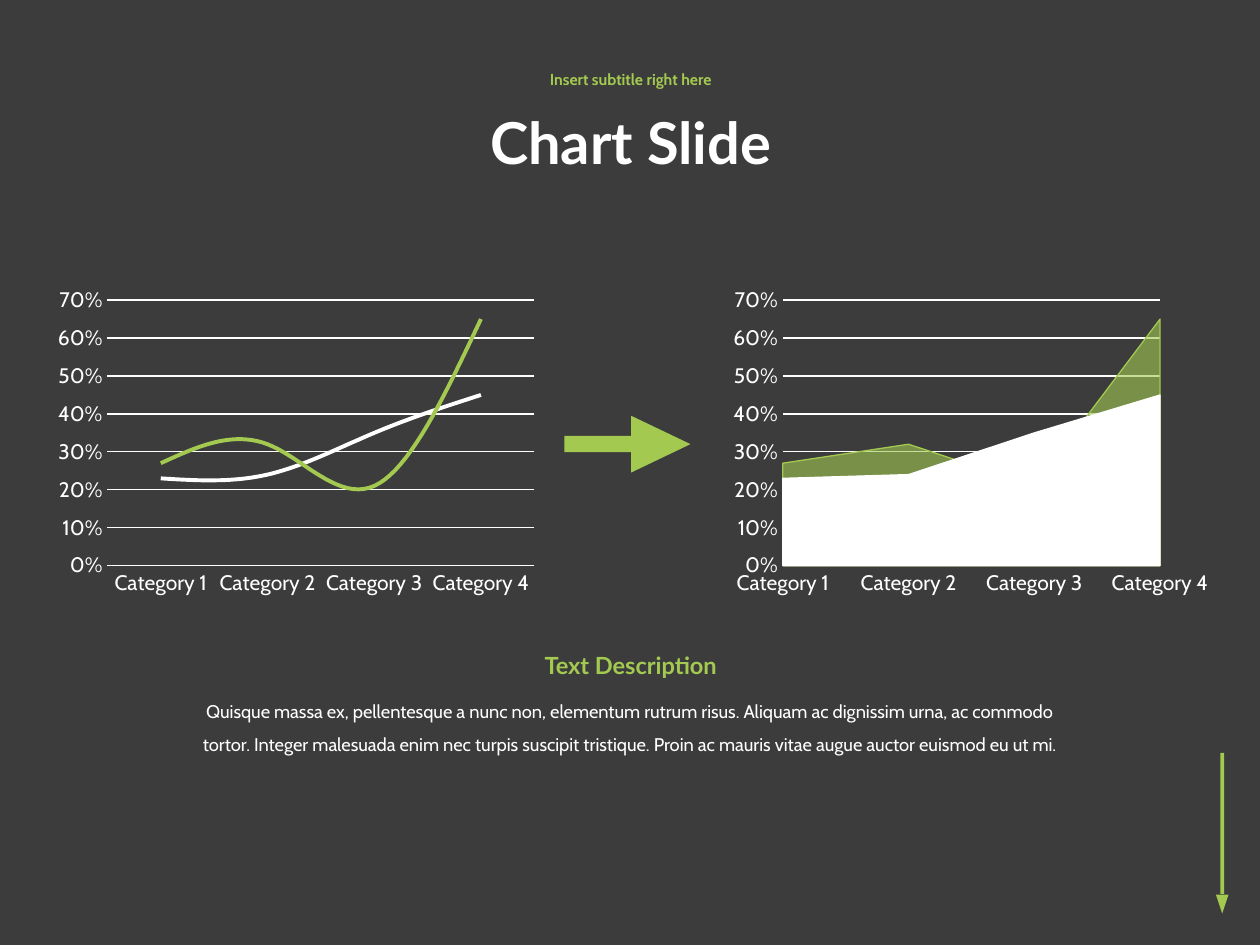
import pptx
import pptx.chart.data
import pptx.dml.color
import pptx.enum.chart
import pptx.enum.shapes
import pptx.enum.text
import pptx.util
from lxml import etree
from pptx.oxml.ns import qn

Inches, Pt = pptx.util.Inches, pptx.util.Pt
CHART = pptx.enum.chart
SHAPE = pptx.enum.shapes.MSO_SHAPE
ANCHOR = pptx.enum.text.MSO_ANCHOR

# Content
COLORS = {"background": "3C3C3C", "accent": "A3C951", "light": "FFFFFF"}
CATEGORIES = ["Category 1", "Category 2", "Category 3", "Category 4"]
SERIES = [
    ("Series 1", (0.23, 0.24, 0.35, 0.45), "light"),
    ("Series 2", (0.27, 0.32, 0.21, 0.65), "accent"),
]
DESCRIPTION = (
    "Quisque massa ex, pellentesque a nunc non, elementum rutrum risus. "
    "Aliquam ac dignissim urna, ac commodo tortor. Integer malesuada enim nec "
    "turpis suscipit tristique. Proin ac mauris vitae augue auctor euismod eu ut mi."
)
# box, text, font, size, colour, bold, line spacing, anchor
TEXTS = [
    ((2.19, 0.64, 5.63, 1.03), "Chart Slide", "Lato", 33, "light", True, 0.9, ANCHOR.MIDDLE),
    ((2.19, 0.45, 5.63, 0.38), "Insert subtitle right here", "Cabin", 9, "accent", True, 0.9,
     ANCHOR.MIDDLE),
    ((1.44, 5.42, 7.12, 0.6), DESCRIPTION, "Cabin", 10.5, "light", False, 1.5, ANCHOR.TOP),
    ((3.91, 5.12, 2.19, 0.33), "Text Description", "Lato", 13.5, "accent", True, 1.0, ANCHOR.TOP),
]
# preset, box, rotation
ARROW_PARTS = [
    (SHAPE.RECTANGLE, (9.14, 6.52, 1.12, 0.03), 90),
    (SHAPE.ISOSCELES_TRIANGLE, (9.65, 7.1, 0.1, 0.15), 180),
    (SHAPE.RECTANGLE, (4.48, 3.46, 0.53, 0.13), 0),
    (SHAPE.ISOSCELES_TRIANGLE, (5.02, 3.29, 0.45, 0.47), 90),
]
# type, left, plot width as a share of the chart, series line width
CHARTS = [
    (CHART.XL_CHART_TYPE.LINE, 0.38, 0.86, 2.25),
    (CHART.XL_CHART_TYPE.AREA, 5.74, 0.76, 0.75),
]
CHART_TOP, CHART_WIDTH, CHART_HEIGHT = 2.23, 3.94, 2.54


def rgb(name):
    return pptx.dml.color.RGBColor.from_string(COLORS[name])


def style_font(font, name, size, color, bold=False):
    font.name, font.size, font.bold = name, Pt(size), bold
    font.color.rgb = rgb(color)


def style_line(line, color, width):
    line.color.rgb = rgb(color)
    line.width = Pt(width)


def set_plot_layout(chart, x, y, width, height):
    plot_area = chart.plots[0]._element.getparent()
    for old in plot_area.findall(qn("c:layout")):
        plot_area.remove(old)
    layout = etree.Element(qn("c:layout"))
    manual = etree.SubElement(layout, qn("c:manualLayout"))
    settings = [("layoutTarget", "inner"), ("xMode", "edge"), ("yMode", "edge"),
                ("x", x), ("y", y), ("w", width), ("h", height)]
    for tag, value in settings:
        etree.SubElement(manual, qn("c:" + tag)).set("val", str(value))
    plot_area.insert(0, layout)


def add_chart(slide, kind, left, plot_width, line_width):
    is_area = kind == CHART.XL_CHART_TYPE.AREA
    data = pptx.chart.data.CategoryChartData(number_format="0%")
    data.categories = CATEGORIES
    for name, values, _ in SERIES:
        data.add_series(name, values)
    chart = slide.shapes.add_chart(
        kind, Inches(left), Inches(CHART_TOP), Inches(CHART_WIDTH), Inches(CHART_HEIGHT), data
    ).chart
    chart.has_legend = chart.has_title = False
    style_font(chart.font, "Cabin", 10, "light")
    chart.plots[0].vary_by_categories = False

    # Axes
    category_axis, value_axis = chart.category_axis, chart.value_axis
    for axis in (category_axis, value_axis):
        axis.major_tick_mark = axis.minor_tick_mark = CHART.XL_TICK_MARK.NONE
        style_font(axis.tick_labels.font, "Cabin", 12, "light")
    category_axis.has_major_gridlines = False
    style_line(category_axis.format.line, "light", 0.75)
    value_axis.format.line.fill.background()
    value_axis.has_major_gridlines = True
    style_line(value_axis.major_gridlines.format.line, "light", 0.75)
    value_axis.minimum_scale, value_axis.maximum_scale, value_axis.major_unit = 0, 0.7, 0.1
    value_axis.tick_labels.number_format = "0%"
    value_axis.tick_labels.number_format_is_linked = False
    crossing = value_axis._element.find(qn("c:crossBetween"))
    if crossing is not None:
        crossing.set("val", "midCat" if is_area else "between")

    # Series
    for series, (_, _, color) in zip(chart.plots[0].series, SERIES):
        style_line(series.format.line, color, line_width)
        if is_area:
            series.format.fill.solid()
            series.format.fill.fore_color.rgb = rgb(color)
            if color == "accent":
                fill = series._element.find(qn("c:spPr")).find(qn("a:solidFill"))
                etree.SubElement(fill[0], qn("a:alpha")).set("val", "60000")
        else:
            series.smooth = True
            series.marker.style = CHART.XL_MARKER_STYLE.NONE
    set_plot_layout(chart, 0.12, 0.06, plot_width, 0.83)


def add_arrow_part(slide, preset, box, rotation):
    shape = slide.shapes.add_shape(preset, *map(Inches, box))
    shape.rotation = rotation
    shape.shadow.inherit = False
    shape.fill.solid()
    shape.fill.fore_color.rgb = rgb("accent")
    shape.line.fill.background()


def add_text(slide, box, text, font, size, color, bold, spacing, anchor):
    frame = slide.shapes.add_textbox(*map(Inches, box)).text_frame
    frame.word_wrap = True
    frame.vertical_anchor = anchor
    paragraph = frame.paragraphs[0]
    paragraph.alignment = pptx.enum.text.PP_ALIGN.CENTER
    paragraph.line_spacing = spacing
    run = paragraph.add_run()
    run.text = text
    style_font(run.font, font, size, color, bold)


def main():
    presentation = pptx.Presentation()
    presentation.slide_width, presentation.slide_height = Inches(10), Inches(7.5)
    slide = presentation.slides.add_slide(presentation.slide_layouts[6])
    slide.background.fill.solid()
    slide.background.fill.fore_color.rgb = rgb("background")
    for part in ARROW_PARTS:
        add_arrow_part(slide, *part)
    for chart in CHARTS:
        add_chart(slide, *chart)
    for text in TEXTS:
        add_text(slide, *text)
    presentation.save("out.pptx")


if __name__ == "__main__":
    main()
